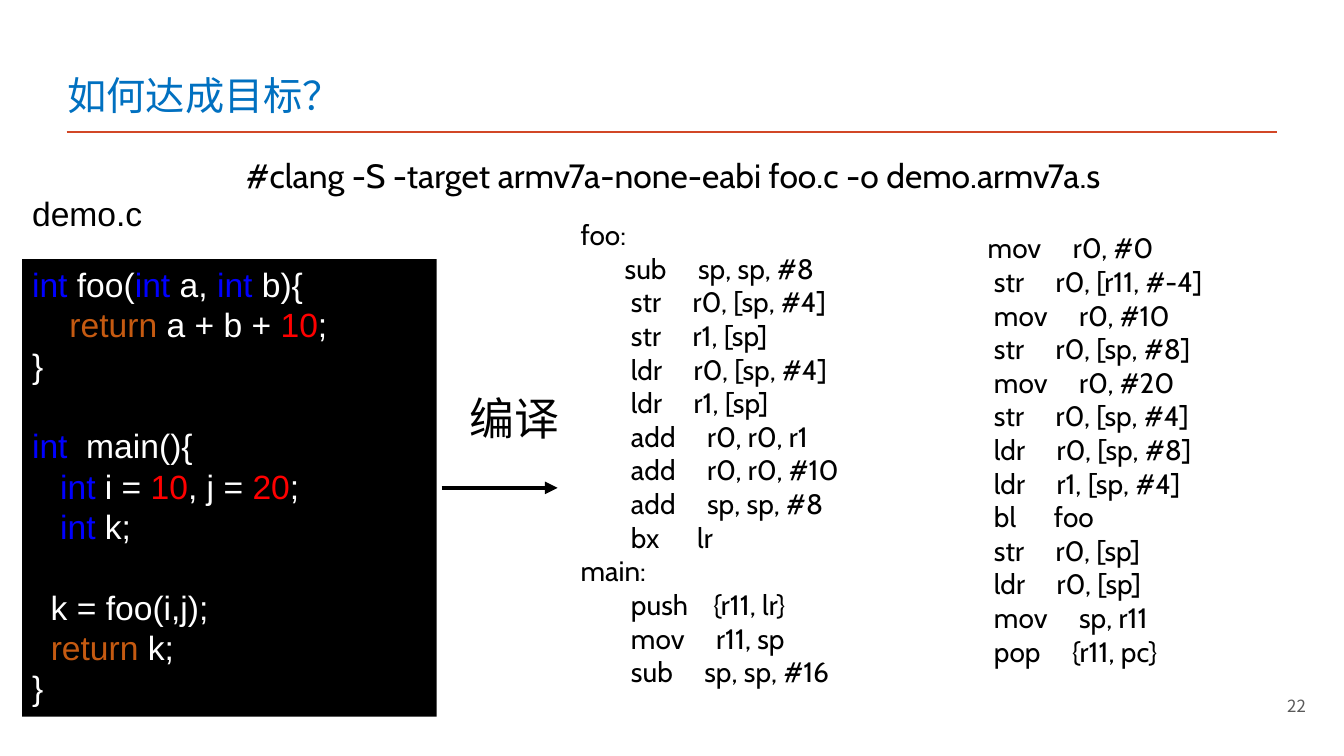
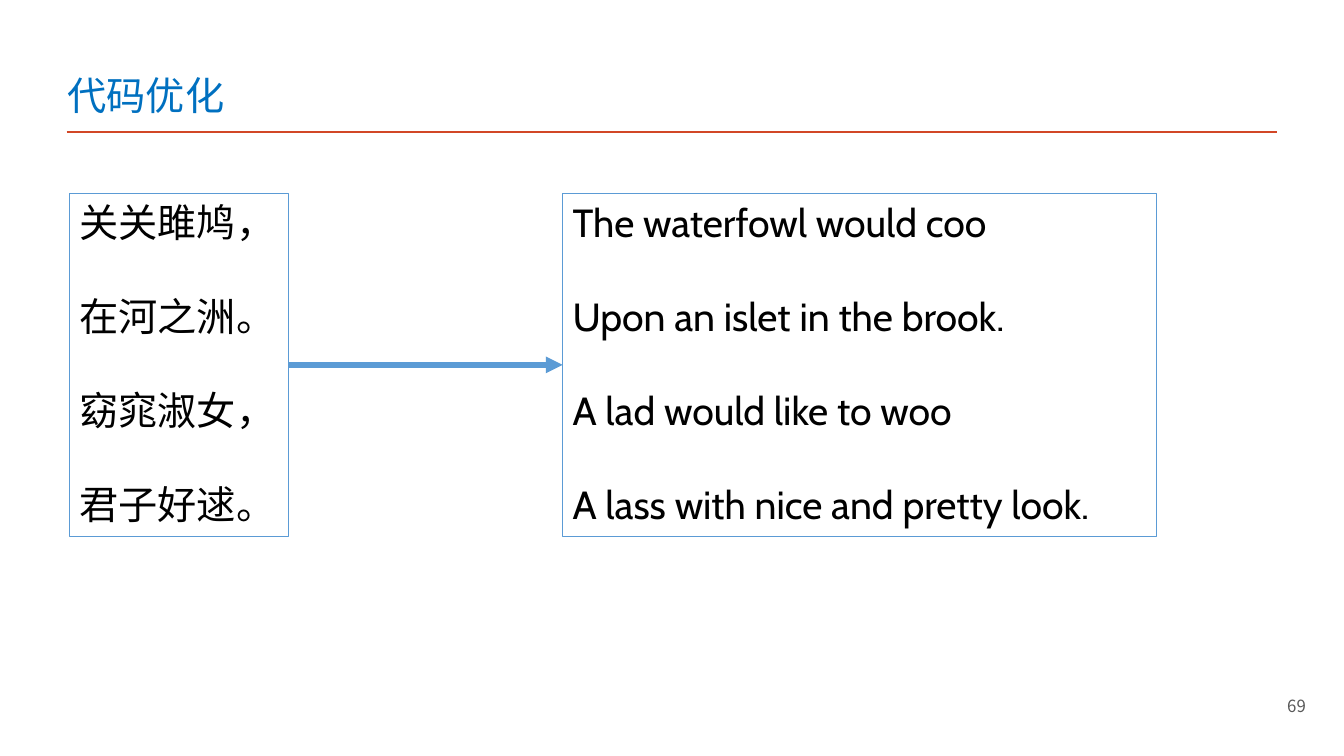
from lxml import etree
from pptx import Presentation
from pptx import util as u
from pptx.dml.color import RGBColor
from pptx.enum import shapes, text
from pptx.oxml import ns

COLORS = {
    "title": "0070C0", "rule": "D24726", "page": "595959",
    "black": "000000", "white": "FFFFFF", "blue": "5B9BD5",
    "type": "0000FF", "keyword": "C55A11", "number": "FF0000",
}
LATIN, CODE, CJK = "Cabin", "Arial", "Noto Sans CJK SC"
LINE_RATIO = 1.2

INT = ("int", "type")
SOURCE_CODE = [
    [INT, " foo(", INT, " a, ", INT, " b){"],
    ["    ", ("return", "keyword"), " a + b + ", ("10", "number"), ";"],
    ["}"],
    None,
    [INT, "  main(){"],
    ["   ", INT, " i = ", ("10", "number"), ", j = ", ("20", "number"), ";"],
    ["   ", INT, " k;"],
    None,
    ["  k = foo(i,j);"],
    ["  ", ("return", "keyword"), " k;"],
    ["}"],
]
ASSEMBLY_LEFT = [
    "foo:",
    "       sub     sp, sp, #8",
    "        str     r0, [sp, #4]",
    "        str     r1, [sp]",
    "        ldr     r0, [sp, #4]",
    "        ldr     r1, [sp]",
    "        add     r0, r0, r1",
    "        add     r0, r0, #10",
    "        add     sp, sp, #8",
    "        bx      lr",
    "main:",
    "        push    {r11, lr}",
    "        mov     r11, sp",
    "        sub     sp, sp, #16",
]
ASSEMBLY_RIGHT = [
    "       mov     r0, #0",
    "        str     r0, [r11, #-4]",
    "        mov     r0, #10",
    "        str     r0, [sp, #8]",
    "        mov     r0, #20",
    "        str     r0, [sp, #4]",
    "        ldr     r0, [sp, #8]",
    "        ldr     r1, [sp, #4]",
    "        bl      foo",
    "        str     r0, [sp]",
    "        ldr     r0, [sp]",
    "        mov     sp, r11",
    "        pop     {r11, pc}",
]
COMMAND = "#clang -S -target armv7a-none-eabi foo.c -o demo.armv7a.s"
LABELS = [
    ((5.66, 2.11, 3.67, 4.82), ASSEMBLY_LEFT, {"size": 20}),
    ((2.34, 1.49, 10.5, 0.5), [COMMAND], {"size": 24}),
    ((4.56, 3.83, 1.1, 0.64), ["编译"], {"size": 32, "wrap": False}),
    ((0.22, 1.86, 1.31, 0.5), ["demo.c"],
     {"size": 24, "font": CODE, "wrap": False, "fixed": True}),
    ((9.26, 2.24, 3.67, 4.48), ASSEMBLY_RIGHT, {"size": 20}),
]
POEMS = [
    ((0.69, 1.92, 2.17, 3.4),
     ["关关雎鸠，", None, "在河之洲。", None, "窈窕淑女，", None, "君子好逑。"]),
    ((5.58, 1.92, 5.89, 3.4),
     ["The waterfowl would coo", None, "Upon an islet in the brook.", None,
      "A lad would like to woo", None, "A lass with nice and pretty look."]),
]


def rgb(name):
    return RGBColor.from_string(COLORS[name])


def inches(values):
    return [u.Inches(value) for value in values]


def write_text(shape, lines, size=24, font=LATIN, color="black", align="LEFT",
               anchor=text.MSO_ANCHOR.TOP, wrap=True, fixed=False):
    frame = shape.text_frame
    frame.word_wrap = wrap
    if anchor is not None:
        frame.vertical_anchor = anchor
    pitch = u.Pt(size * LINE_RATIO)
    gap = 0
    for index, line in enumerate(lines):
        if line is None:
            gap += pitch
            continue
        paragraph = frame.add_paragraph() if index else frame.paragraphs[0]
        paragraph.alignment = getattr(text.PP_ALIGN, align)
        if gap:
            paragraph.space_before = gap
            gap = 0
        if fixed:
            paragraph.line_spacing = pitch
        for part in [line] if isinstance(line, str) else line:
            words, tone = (part, color) if isinstance(part, str) else part
            run = paragraph.add_run()
            run.text = words
            run.font.size = u.Pt(size)
            run.font.color.rgb = rgb(tone)
            run.font.name = font
            properties = run.font.latin if hasattr(run.font, "latin") else run.element_properties \
                if hasattr(run, "element_properties") else run._r.get_or_add_rPr()
            etree.SubElement(properties, ns.qn("a:ea")).set("typeface", font)


def add_label(slide, place, lines, **style):
    write_text(slide.shapes.add_textbox(*inches(place)), lines, **style)


def add_box(slide, place, lines, fill=None, line=None, **style):
    box = slide.shapes.add_shape(shapes.MSO_SHAPE.RECTANGLE, *inches(place))
    box.shadow.inherit = False
    if fill:
        box.fill.solid()
        box.fill.fore_color.rgb = rgb(fill)
    else:
        box.fill.background()
    if line:
        box.line.color.rgb = rgb(line)
        box.line.width = u.Pt(0.75)
    else:
        box.line.fill.background()
    write_text(box, lines, **style)
    return box


def add_line(slide, ends, color, width, arrow=False):
    line = slide.shapes.add_connector(shapes.MSO_CONNECTOR.STRAIGHT, *inches(ends))
    line.line.color.rgb = rgb(color)
    line.line.width = u.Pt(width)
    if arrow:
        etree.SubElement(line.line._get_or_add_ln(), ns.qn("a:tailEnd")).set("type", "triangle")
    etree.SubElement(line.element.spPr, ns.qn("a:effectLst"))
    return line


def prepare_layout(presentation):
    layout = presentation.slide_layouts[5]
    title = layout.placeholders[0]
    title.left, title.top, title.width, title.height = inches((0.57, 0.52, 7.52, 0.7))
    title.text_frame.vertical_anchor = text.MSO_ANCHOR.BOTTOM
    title.text_frame.auto_size = text.MSO_AUTO_SIZE.NONE
    return layout


def add_slide(presentation, layout, title, page):
    slide = presentation.slides.add_slide(layout)
    write_text(slide.shapes.title, [title], size=28, font=CJK, color="title", anchor=None)
    add_label(slide, (9.16, 6.8, 3.89, 0.4), [page], size=12, font=CJK, color="page",
              align="RIGHT", anchor=text.MSO_ANCHOR.MIDDLE)
    return slide


def main():
    presentation = Presentation()
    presentation.slide_width, presentation.slide_height = inches((13.33, 7.5))
    layout = prepare_layout(presentation)

    compile_slide = add_slide(presentation, layout, "如何达成目标？", "22")
    rule = add_line(compile_slide, (0.66, 1.31, 12.67, 1.31), "rule", 2)
    layout.shapes.element.append(rule.element)
    add_box(compile_slide, (0.22, 2.57, 4.11, 4.54), SOURCE_CODE, fill="black",
            font=CODE, color="white", fixed=True)
    for place, lines, style in LABELS:
        add_label(compile_slide, place, lines, **style)
    add_line(compile_slide, (4.38, 4.84, 5.53, 4.84), "black", 3, arrow=True)

    poem_slide = add_slide(presentation, layout, "代码优化", "69")
    chinese, english = [add_box(poem_slide, place, lines, line="blue", size=28)
                        for place, lines in POEMS]
    arrow = add_line(poem_slide, (2.86, 3.62, 5.58, 3.62), "blue", 4, arrow=True)
    arrow.begin_connect(chinese, 3)
    arrow.end_connect(english, 1)

    presentation.save("out.pptx")


if __name__ == "__main__":
    main()
